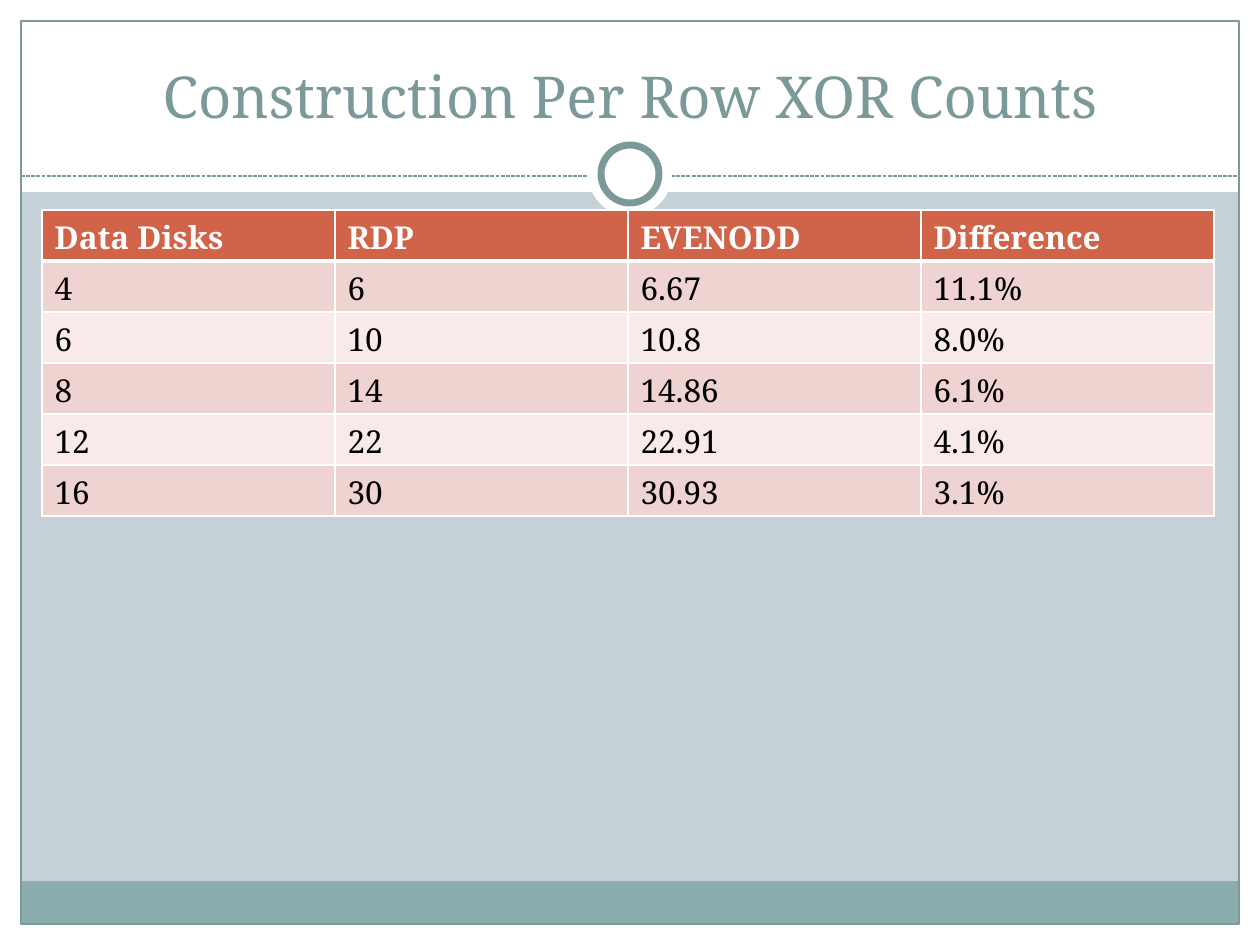
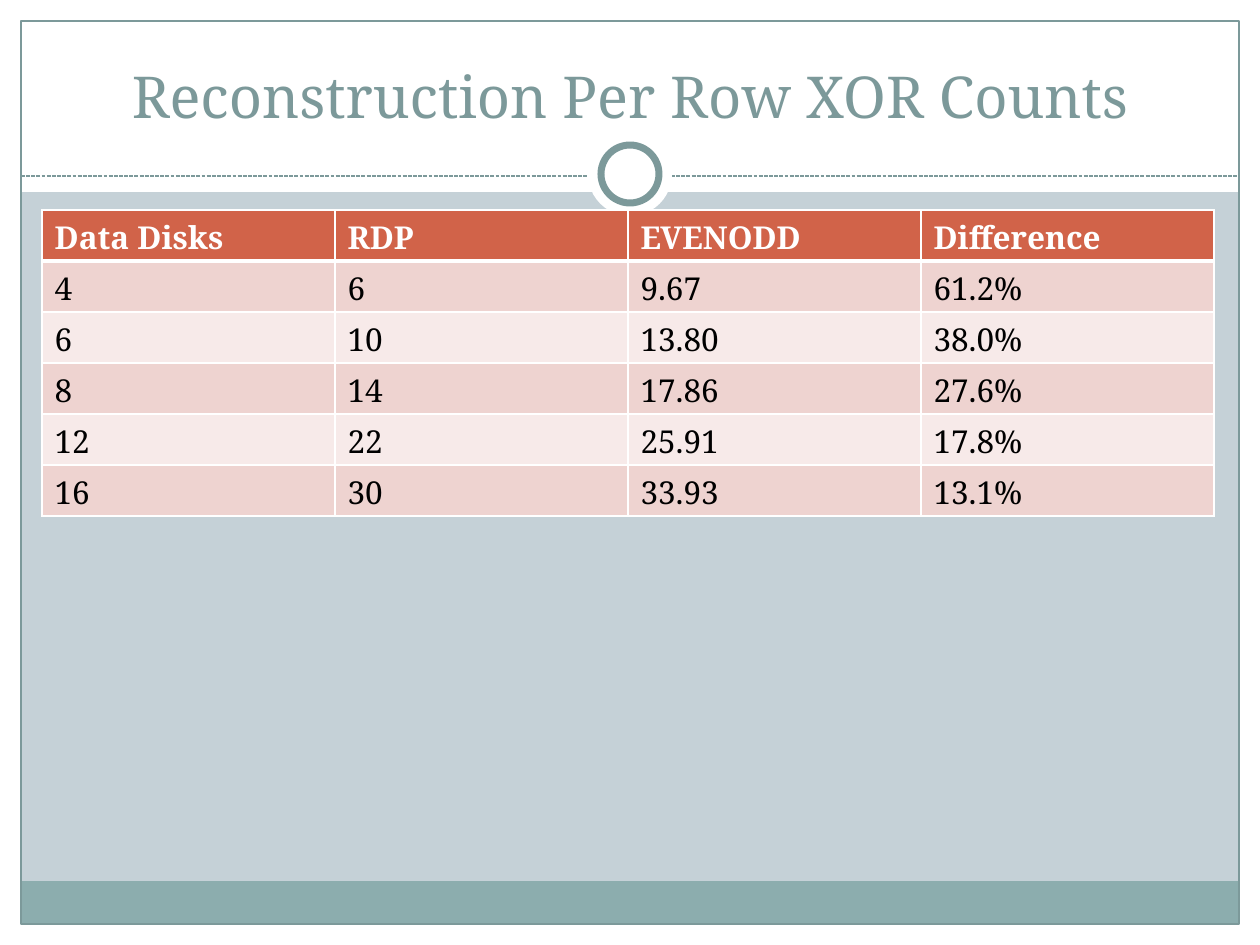
"""Builds two slides that compare RDP and EVENODD XOR counts in tables."""
from dataclasses import dataclass

from lxml.etree import SubElement
from pptx import Presentation
from pptx.dml.color import RGBColor as Color
from pptx.enum.dml import MSO_LINE_DASH_STYLE as Dash
from pptx.enum.shapes import MSO_CONNECTOR as Connector, MSO_SHAPE as Shape
from pptx.enum.text import MSO_ANCHOR as Anchor, PP_ALIGN as Align
from pptx.oxml.ns import qn
from pptx.util import Emu, Pt


@dataclass(frozen=True)
class Theme:
    font: str = "Noto Serif"
    title_size: int = 33
    cell_size: int = 18
    background: str = "C5D1D7"
    white: str = "FFFFFF"
    black: str = "000000"
    teal: str = "7C999A"
    footer: str = "8CADAE"
    header: str = "D16349"
    stripes: tuple = ("EED3D0", "F7EAE9")
    thin: float = 0.75
    ring: float = 4
    grid: float = 1
    header_rule: float = 3


theme = Theme()
EMU_PER_PIXEL = 914400 / 126
WIDTH, HEIGHT = 1260, 945
MARGIN = 21
INNER = WIDTH - 2 * MARGIN
TABLE_LEFT, TABLE_TOP = 42, 210
COLUMN, ROW = 293, 51


def px(*lengths):
    return [Emu(round(length * EMU_PER_PIXEL)) for length in lengths]


def add_span(para, text, size, color, bold=False):
    span = para.add_run()
    span.text = text
    span.font.name = theme.font
    span.font.size = Pt(size)
    span.font.bold = bold
    span.font.color.rgb = Color.from_string(color)


HEADINGS = ("Data Disks", "RDP", "EVENODD", "Difference")
SLIDES = {
    "Construction Per Row XOR Counts": (
        ("4", "6", "6.67", "11.1%"),
        ("6", "10", "10.8", "8.0%"),
        ("8", "14", "14.86", "6.1%"),
        ("12", "22", "22.91", "4.1%"),
        ("16", "30", "30.93", "3.1%"),
    ),
    "Reconstruction Per Row XOR Counts": (
        ("4", "6", "9.67", "61.2%"),
        ("6", "10", "13.80", "38.0%"),
        ("8", "14", "17.86", "27.6%"),
        ("12", "22", "25.91", "17.8%"),
        ("16", "30", "33.93", "13.1%"),
    ),
}

BANDS = (
    ((0, HEIGHT - MARGIN, WIDTH, MARGIN), theme.white),
    ((0, 0, WIDTH, 192), theme.white),
    ((0, 0, MARGIN, HEIGHT), theme.white),
    ((WIDTH - MARGIN, 0, MARGIN, HEIGHT), theme.white),
    ((MARGIN, 881, INNER, 43), theme.footer),
)
FRAME = (MARGIN, MARGIN, INNER, HEIGHT - 2 * MARGIN)
DIVIDER = (MARGIN, 176, WIDTH - MARGIN, 176)
DISC = (588, 132, 84, 84)
RING = (601, 145, 58, 58)
TITLE = (42, 32, 1176, 104)

PARTS = [(Shape.RECTANGLE, place, fill, None) for place, fill in BANDS] + [
    (Shape.RECTANGLE, FRAME, None, theme.thin),
    (None, DIVIDER, None, theme.thin),
    (Shape.OVAL, DISC, theme.white, None),
    (Shape.OVAL, RING, theme.white, theme.ring),
]

deck = Presentation()
deck.slide_width, deck.slide_height = px(WIDTH, HEIGHT)

for title, records in SLIDES.items():
    page = deck.slides.add_slide(deck.slide_layouts[6])
    page.background.fill.solid()
    page.background.fill.fore_color.rgb = Color.from_string(theme.background)

    for kind, place, fill, weight in PARTS:
        if kind is None:
            part = page.shapes.add_connector(Connector.STRAIGHT, *px(*place))
            part.line.dash_style = Dash.SQUARE_DOT
            SubElement(part.line._get_or_add_ln().getparent(), qn("a:effectLst"))
        else:
            part = page.shapes.add_shape(kind, *px(*place))
            part.shadow.inherit = False
            if fill:
                part.fill.solid()
                part.fill.fore_color.rgb = Color.from_string(fill)
            else:
                part.fill.background()
        if weight:
            part.line.color.rgb = Color.from_string(theme.teal)
            part.line.width = Pt(weight)
        else:
            part.line.fill.background()

    box = page.shapes.add_textbox(*px(*TITLE))
    box.text_frame.word_wrap = True
    box.text_frame.vertical_anchor = Anchor.BOTTOM
    para = box.text_frame.paragraphs[0]
    para.alignment = Align.CENTER
    add_span(para, title, theme.title_size, theme.teal)

    rows = (HEADINGS, *records)
    size = (COLUMN * len(HEADINGS), ROW * len(rows))
    table = page.shapes.add_table(
        len(rows), len(HEADINGS), *px(TABLE_LEFT, TABLE_TOP, *size)
    ).table
    for column in table.columns:
        column.width = px(COLUMN)[0]
    for row_index, values in enumerate(rows):
        table.rows[row_index].height = px(ROW)[0]
        is_header = row_index == 0
        fill = theme.header if is_header else theme.stripes[(row_index - 1) % 2]
        ink = theme.white if is_header else theme.black
        top = theme.header_rule if row_index == 1 else theme.grid
        bottom = theme.header_rule if is_header else theme.grid
        edges = {"L": theme.grid, "R": theme.grid, "T": top, "B": bottom}
        for column_index, value in enumerate(values):
            cell = table.cell(row_index, column_index)
            properties = cell._tc.get_or_add_tcPr()
            for side, weight in edges.items():
                edge = SubElement(properties, qn(f"a:ln{side}"), w=str(Pt(weight)))
                paint = SubElement(edge, qn("a:solidFill"))
                SubElement(paint, qn("a:srgbClr"), val=theme.white)
            cell.fill.solid()
            cell.fill.fore_color.rgb = Color.from_string(fill)
            para = cell.text_frame.paragraphs[0]
            add_span(para, value, theme.cell_size, ink, is_header)

deck.save("out.pptx")
